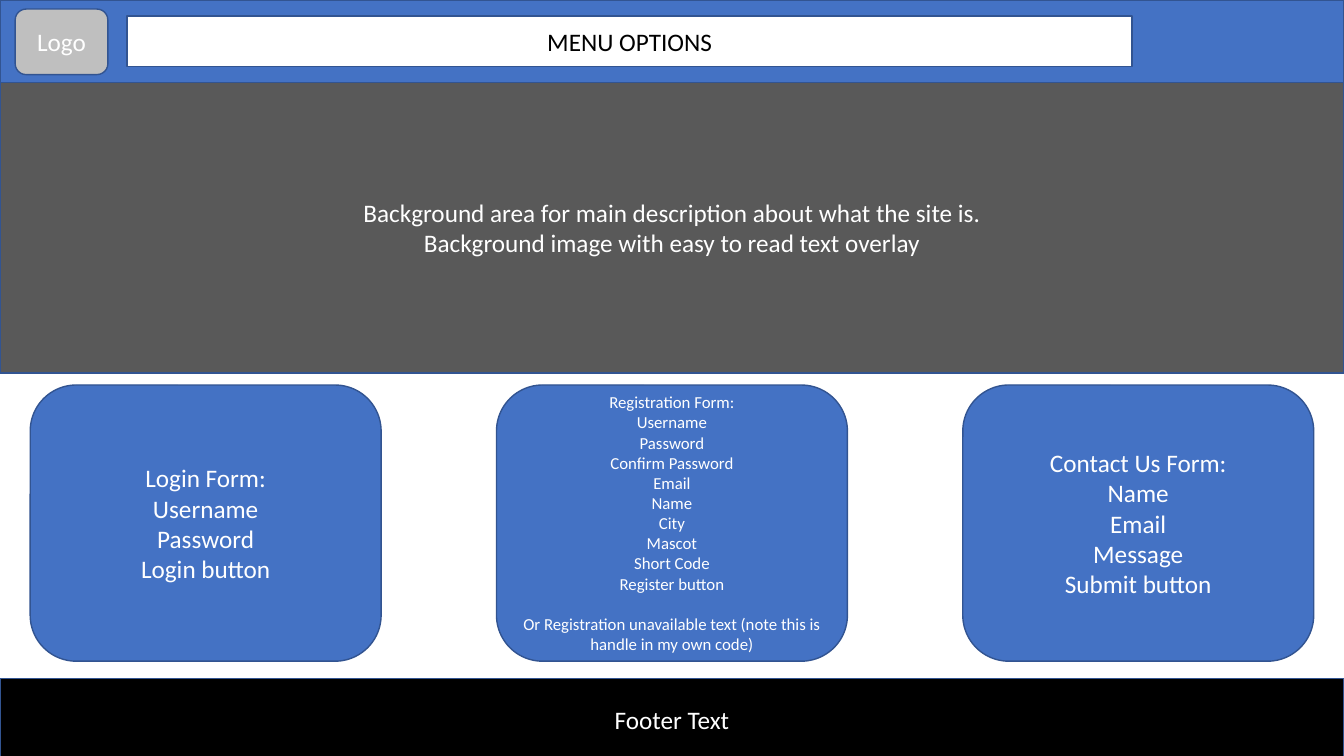
from pptx import Presentation
from pptx.dml.color import RGBColor
from pptx.enum.shapes import MSO_SHAPE
from pptx.enum.text import MSO_ANCHOR, PP_ALIGN
from pptx.util import Inches, Pt

BLUE, OUTLINE, WHITE, BLACK = "4472C4", "325491", "FFFFFF", "000000"
SILVER, CHARCOAL = "BFBFBF", "595959"


def color(hex_value):
    return RGBColor.from_string(hex_value)


class Wireframe:
    """Draws page blocks; every length is a percentage of the slide."""

    font = "Calibri"

    def __init__(self, deck):
        self.width, self.height = deck.slide_width, deck.slide_height
        self.slide = deck.slides.add_slide(deck.slide_layouts[6])

    def block(self, left, top, width, height, fill, kind=MSO_SHAPE.RECTANGLE):
        block = self.slide.shapes.add_shape(
            kind,
            round(self.width * left / 100), round(self.height * top / 100),
            round(self.width * width / 100), round(self.height * height / 100))
        block.shadow.inherit = False
        block.fill.solid()
        block.fill.fore_color.rgb = color(fill)
        block.line.color.rgb = color(OUTLINE)
        block.line.width = Pt(1)
        return block

    def rounded(self, left, top, width, height, fill):
        return self.block(left, top, width, height, fill,
                          MSO_SHAPE.ROUNDED_RECTANGLE)

    def label(self, block, lines, size=18, ink=WHITE):
        frame = block.text_frame
        frame.word_wrap = True
        frame.vertical_anchor = MSO_ANCHOR.MIDDLE
        frame.text = "\n".join(lines)
        for paragraph in frame.paragraphs:
            paragraph.alignment = PP_ALIGN.CENTER
            for run in paragraph.runs:
                run.font.name = self.font
                run.font.size = Pt(size)
                run.font.color.rgb = color(ink)
        return frame.paragraphs


def main():
    deck = Presentation()
    deck.slide_width, deck.slide_height = Inches(13.33), Inches(7.5)
    page = Wireframe(deck)
    bar_height = 10.93

    # Header with logo placeholder and menu
    page.block(0, 0, 100, bar_height, BLUE)
    page.label(page.rounded(1.13, 1.2, 6.9, 8.67, SILVER), ["Logo"])
    page.label(page.block(9.45, 2.13, 74.79, 6.67, WHITE),
               ["MENU OPTIONS"], ink=BLACK)

    # Footer
    page.label(page.block(0, 89.73, 100, bar_height, BLACK), ["Footer Text"])

    # Main description area
    page.label(page.block(0, bar_height, 100, 38.4, CHARCOAL), [
        "Background area for main description about what the site is.",
        "Background image with easy to read text overlay"])

    # Three forms, evenly spread between equal side margins
    forms = [
        (18, ["Login Form:", "Username", "Password", "Login button"]),
        (12, ["Registration Form:", "Username", "Password",
              "Confirm Password", "Email", "Name", "City", "Mascot",
              "Short Code", "Register button",
              "Or Registration unavailable text "
              "(note this is handle in my own code)"]),
        (18, ["Contact Us Form:", "Name", "Email", "Message",
              "Submit button"]),
    ]
    margin, form_width = 2.25, 26.11
    step = (100 - 2 * margin - form_width) / (len(forms) - 1)
    form_texts = []
    for column, (size, fields) in enumerate(forms):
        form = page.rounded(margin + column * step, 50.93,
                            form_width, 36.53, BLUE)
        form_texts.append(page.label(form, fields, size))

    # One line of space above the registration note
    registration = form_texts[1]
    registration[-1].space_before = Pt(14.6)

    deck.save("out.pptx")


if __name__ == "__main__":
    main()
